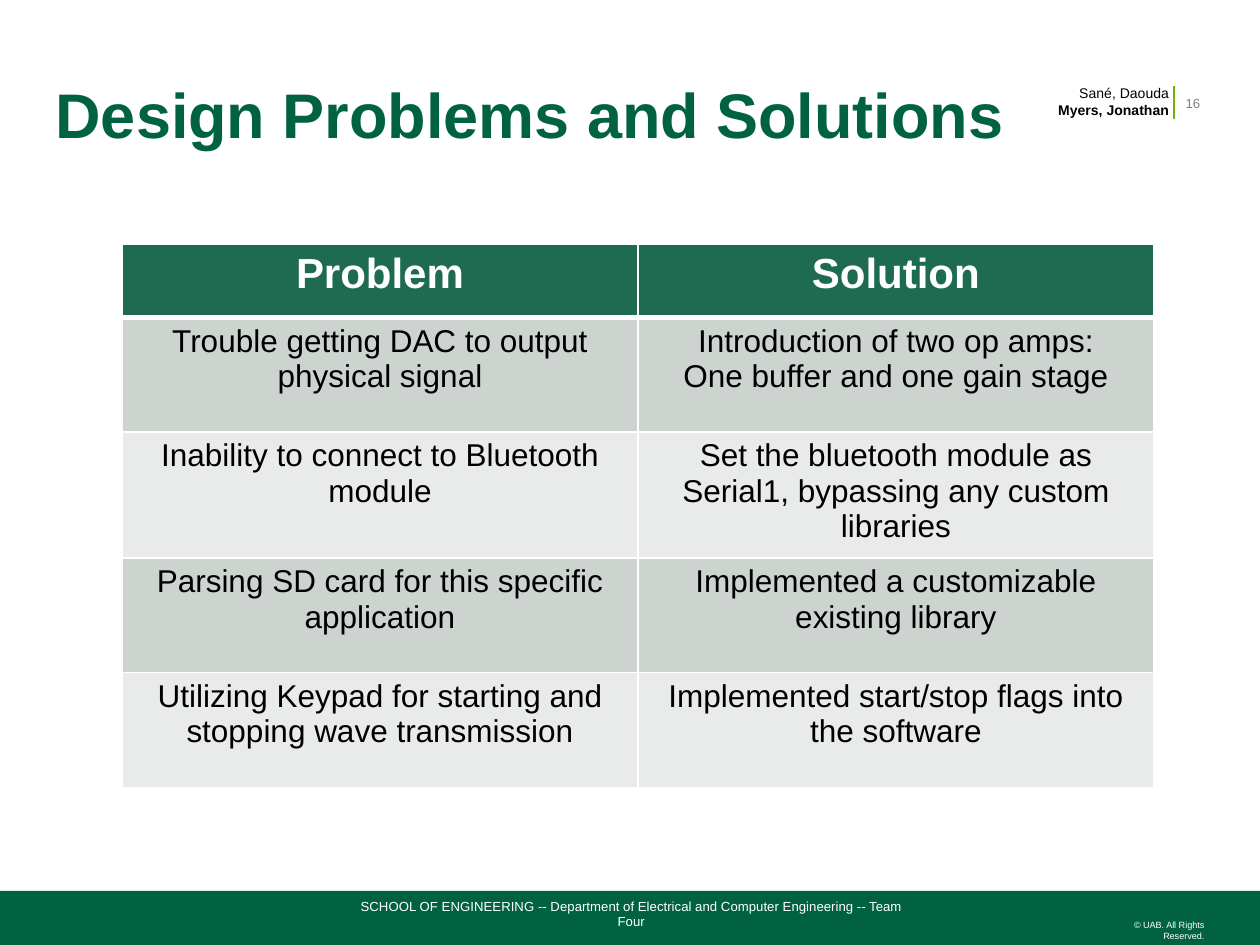
from lxml.etree import SubElement
from pptx import Presentation
from pptx.dml.color import RGBColor
from pptx.enum.shapes import MSO_CONNECTOR, MSO_SHAPE
from pptx.enum.text import MSO_ANCHOR, PP_ALIGN
from pptx.oxml.ns import qn
from pptx.util import Cm, Pt

GREEN, WHITE, BLACK = "006241", "FFFFFF", "000000"
HEAD, BANDS = "1E6B51", ("CDD4D0", "E8EBE9")
ROWS = [
    ("Problem", "Solution"),
    ("Trouble getting DAC to output physical signal",
     "Introduction of two op amps:\nOne buffer and one gain stage"),
    ("Inability to connect to Bluetooth module",
     "Set the bluetooth module as Serial1, bypassing any custom libraries"),
    ("Parsing SD card for this specific application",
     "Implemented a customizable existing library"),
    ("Utilizing Keypad for starting and stopping wave transmission",
     "Implemented start/stop flags into the software"),
]


def color(code):
    return RGBColor.from_string(code)


def style(par, size, code, bold=False, align=PP_ALIGN.LEFT):
    par.alignment = align
    font = par.font
    font.name, font.size, font.bold = "Arial", Pt(size), bold
    font.color.rgb = color(code)


def add_text(slide, box, text, size, code, bold=False,
             align=PP_ALIGN.LEFT, anchor=MSO_ANCHOR.TOP):
    """Add a text box without margins; box is left, top, width, height in cm."""
    frame = slide.shapes.add_textbox(*map(Cm, box)).text_frame
    frame.word_wrap = True
    frame.vertical_anchor = anchor
    frame.margin_left = frame.margin_right = 0
    frame.margin_top = frame.margin_bottom = 0
    frame.text = text
    for par in frame.paragraphs:
        style(par, size, code, bold, align)
    return frame


def add_border(cell, side, width):
    line = SubElement(cell._tc.get_or_add_tcPr(), qn(f"a:{side}"), w=str(Pt(width)))
    fill = SubElement(line, qn("a:solidFill"))
    SubElement(fill, qn("a:srgbClr"), val=WHITE)


def add_header(slide, left, top):
    title = add_text(slide, (left, top, 22.15, 2.13),
                     "Design Problems and Solutions", 36, GREEN, True,
                     anchor=MSO_ANCHOR.MIDDLE)
    title.paragraphs[0].line_spacing = 0.9
    names = add_text(slide, (left + 18.9, top + 0.38, 3.55, 0.68),
                     "Sané, Daouda\nMyers, Jonathan", 8, BLACK,
                     align=PP_ALIGN.RIGHT)
    names.paragraphs[1].font.bold = True
    x = left + 22.55
    rule = slide.shapes.add_connector(MSO_CONNECTOR.STRAIGHT, Cm(x),
                                      Cm(top + 0.41), Cm(x), Cm(top + 1.07))
    rule.line.color.rgb = color("70B207")
    rule.line.width = Pt(1)
    SubElement(rule._element.spPr, qn("a:effectLst"))
    add_text(slide, (x + 0.23, top + 0.25, 0.64, 1.02), "16", 7.5, "808080",
             anchor=MSO_ANCHOR.MIDDLE)


def add_grid(slide, left, top, width):
    head, tall = 1.47, 2.31
    table = slide.shapes.add_table(
        len(ROWS), 2, Cm(left), Cm(top), Cm(width),
        Cm(head + tall * (len(ROWS) - 1))).table
    for r, texts in enumerate(ROWS):
        first = r == 0
        table.rows[r].height = Cm(head if first else tall)
        for c, text in enumerate(texts):
            cell = table.cell(r, c)
            cell.text = text
            for par in cell.text_frame.paragraphs:
                style(par, 24 if first else 18, WHITE if first else BLACK,
                      first, PP_ALIGN.CENTER)
            for side in ("lnL", "lnR", "lnT", "lnB"):
                thick = (first and side == "lnB") or (r == 1 and side == "lnT")
                add_border(cell, side, 3 if thick else 1)
            cell.fill.solid()
            cell.fill.fore_color.rgb = color(HEAD if first else BANDS[(r - 1) % 2])


def add_footer(slide, top, width, height):
    bar = slide.shapes.add_shape(MSO_SHAPE.RECTANGLE, 0, Cm(top),
                                 Cm(width), Cm(height))
    bar.shadow.inherit = False
    bar.fill.solid()
    bar.fill.fore_color.rgb = color(GREEN)
    bar.line.fill.background()
    add_text(slide, (6.96, top + 0.25, 11.53, 0.53),
             "SCHOOL OF ENGINEERING -- Department of Electrical and "
             "Computer Engineering -- Team Four", 7.5, WHITE,
             align=PP_ALIGN.CENTER, anchor=MSO_ANCHOR.BOTTOM)
    add_text(slide, (22.58, top + 0.58, 1.7, 0.45),
             "© UAB. All Rights Reserved.", 5.2, WHITE, align=PP_ALIGN.RIGHT)


def main():
    deck = Presentation()
    deck.slide_width, deck.slide_height = Cm(25.4), Cm(19.05)
    slide = deck.slides.add_slide(deck.slide_layouts[6])
    add_footer(slide, 17.96, 25.4, 1.09)
    add_header(slide, 1.12, 1.32)
    add_grid(slide, 2.46, 4.93, 20.8)
    deck.save("out.pptx")


if __name__ == "__main__":
    main()
